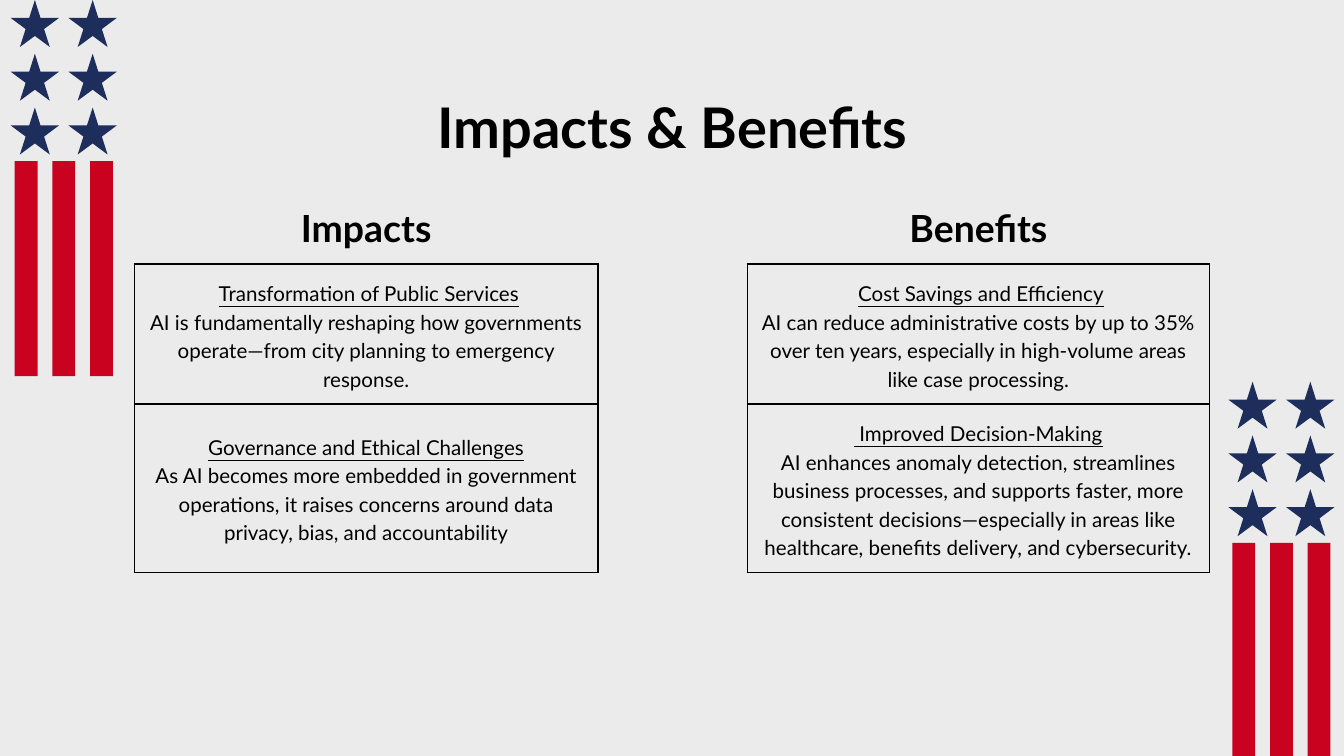
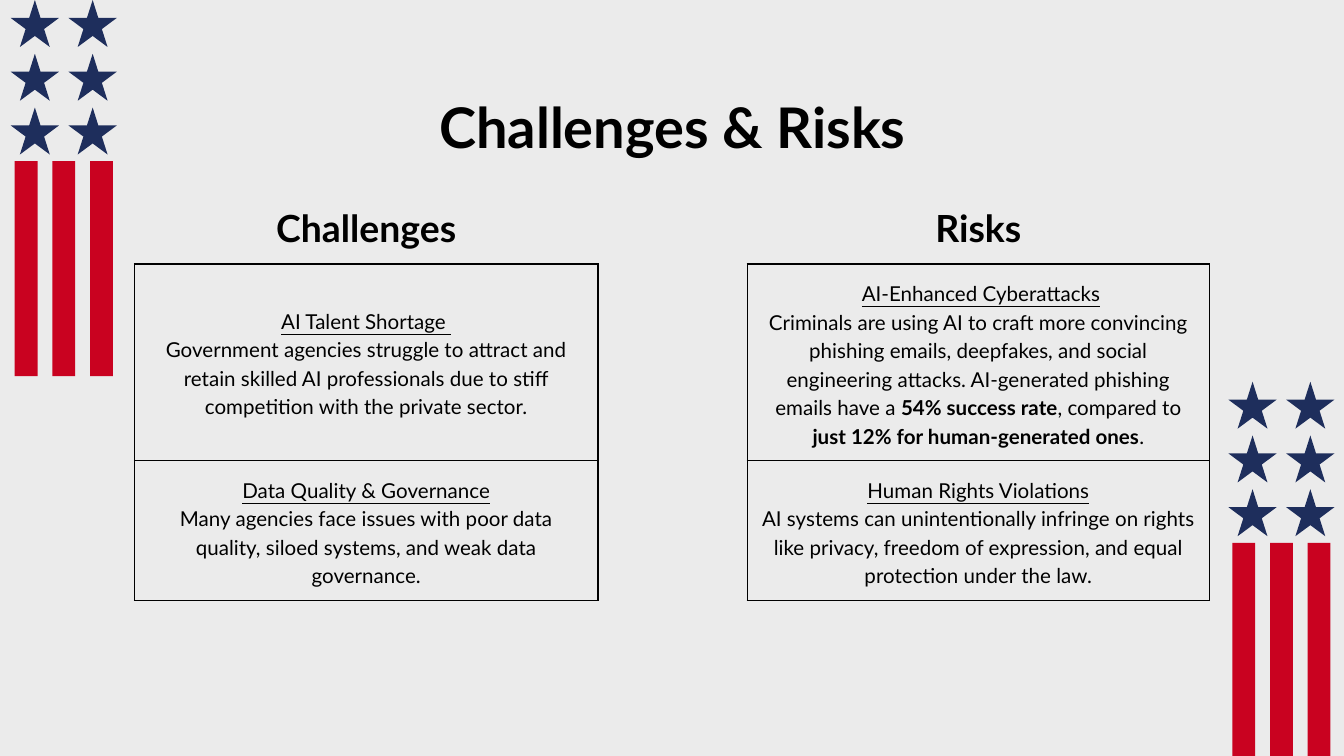
from itertools import product

from lxml.etree import SubElement
from pptx import Presentation
from pptx.dml.color import RGBColor
from pptx.enum.shapes import MSO_SHAPE as Preset
from pptx.enum.text import MSO_ANCHOR as Anchor, PP_ALIGN as Align
from pptx.oxml import parse_xml
from pptx.oxml.ns import nsdecls, qn
from pptx.util import Inches, Pt

FONT = "Lato"
PAPER, INK, RED, NAVY = "EBEBEB", "000000", "C90220", "1E2E5C"
INSET = Inches(0.1)
COLUMN_WIDTHS = (3.45, 1.11, 3.44)
ROW_HEIGHTS = (0.57, 0.76, 0.76)
EMBLEM_CORNERS = ((0.08, 0), (9.14, 2.84))
PLAIN, BOLD, UNDERLINED = "plain", "bold", "underlined"

# Each topic holds the pieces of its heading and those of its details.
SLIDES = [
    {
        "title": "Impacts & Benefits",
        "table_height": 2.87,
        "columns": {
            "Impacts": [
                ([(" ", PLAIN), ("Transformation of Public Services", UNDERLINED)],
                 [("AI is fundamentally reshaping how governments operate—from "
                   "city planning to emergency response.", PLAIN)]),
                ([("Governance and Ethical Challenges", UNDERLINED)],
                 [("As AI becomes more embedded in government operations, it raises "
                   "concerns around data privacy, bias, and accountability", PLAIN)]),
            ],
            "Benefits": [
                ([(" ", PLAIN), ("Cost Savings and Efficiency", UNDERLINED)],
                 [("AI can reduce administrative costs by up to 35% over ten years, "
                   "especially in high-volume areas like case processing.", PLAIN)]),
                ([(" Improved Decision-Making", UNDERLINED)],
                 [("AI enhances anomaly detection, streamlines business processes, and "
                   "supports faster, more consistent decisions—especially in areas "
                   "like healthcare, benefits delivery, and cybersecurity.", PLAIN)]),
            ],
        },
    },
    {
        "title": "Challenges & Risks",
        "table_height": 3.08,
        "columns": {
            "Challenges": [
                ([("AI Talent Shortage ", UNDERLINED)],
                 [("Government agencies struggle to attract and retain skilled AI "
                   "professionals due to stiff competition with the private sector.",
                   PLAIN)]),
                ([("Data Quality & Governance", UNDERLINED)],
                 [("Many agencies face issues with poor data quality, siloed systems, "
                   "and weak data governance.", PLAIN)]),
            ],
            "Risks": [
                ([(" ", PLAIN), ("AI-Enhanced Cyberattacks", UNDERLINED)],
                 [("Criminals are using AI to craft more convincing phishing emails, "
                   "deepfakes, and social engineering attacks. AI-generated phishing "
                   "emails have a ", PLAIN),
                  ("54% success rate", BOLD),
                  (", compared to ", PLAIN),
                  ("just 12% for human-generated ones", BOLD),
                  (".", PLAIN)]),
                ([("Human Rights Violations", UNDERLINED)],
                 [("AI systems can unintentionally infringe on rights like privacy, "
                   "freedom of expression, and equal protection under the law.",
                   PLAIN)]),
            ],
        },
    },
]


def paint(fill, color):
    fill.solid()
    fill.fore_color.rgb = RGBColor.from_string(color)


def write_centered(paragraph, pieces, size, line_spacing=None):
    paragraph.alignment = Align.CENTER
    paragraph.line_spacing = line_spacing
    for text, style in pieces:
        run = paragraph.add_run()
        run.text = text
        font = run.font
        font.name, font.size = FONT, Pt(size)
        font.bold, font.underline = style == BOLD, style == UNDERLINED
        font.color.rgb = RGBColor.from_string(INK)


def add_emblem(slide, left, top):
    """Two columns of stars above three stripes."""
    emblem = slide.shapes.add_group_shape().shapes

    def add_part(preset, x, y, width, height, color):
        part = emblem.add_shape(preset, Inches(left + x), Inches(top + y),
                                Inches(width), Inches(height))
        part.shadow.inherit = False
        paint(part.fill, color)
        part.line.fill.background()

    for stripe in range(3):
        add_part(Preset.RECTANGLE, 0.03 + stripe * 0.28, 1.2, 0.17, 1.6, RED)
    for row, column in product(range(3), range(2)):
        add_part(Preset.STAR_5_POINT, column * 0.43, row * 0.4, 0.36, 0.35, NAVY)


def add_title(slide, text, left, top, width, height):
    title = slide.shapes.add_textbox(Inches(left), Inches(top),
                                     Inches(width), Inches(height))
    frame = title.text_frame
    frame.word_wrap = True
    frame.vertical_anchor = Anchor.TOP
    frame.margin_left = frame.margin_right = INSET
    frame.margin_top = frame.margin_bottom = INSET
    write_centered(frame.paragraphs[0], [(text, BOLD)], 30)


def set_borders(cell, sides):
    """Draw the sides named in a string of L, R, T and B and clear the others."""
    properties = cell._tc.get_or_add_tcPr()
    for place, side in enumerate("LRTB"):
        line = parse_xml(f'<a:ln{side} {nsdecls("a")} w="{Pt(0.75)}"/>')
        if side in sides:
            fill = SubElement(line, qn("a:solidFill"))
            SubElement(fill, qn("a:srgbClr"), val=INK)
        else:
            SubElement(line, qn("a:noFill"))
        properties.insert(place, line)


def style_cell(cell, sides):
    cell.fill.background()
    cell.vertical_anchor = Anchor.MIDDLE
    cell.margin_left = cell.margin_right = INSET
    cell.margin_top = cell.margin_bottom = INSET
    set_borders(cell, sides)


def fill_topic(cell, heading, details):
    frame = cell.text_frame
    write_centered(frame.paragraphs[0], heading, 11, 1.15)
    write_centered(frame.add_paragraph(), details, 11, 1.15)


def add_comparison(slide, columns, left, top, height):
    """Two headed columns of boxed topics with an open gap between them."""
    holder = slide.shapes.add_table(
        len(ROW_HEIGHTS), len(COLUMN_WIDTHS), Inches(left), Inches(top),
        Inches(sum(COLUMN_WIDTHS)), Inches(height))
    table = holder.table
    table.first_row = table.horz_banding = False
    for column, width in zip(table.columns, COLUMN_WIDTHS):
        column.width = Inches(width)
    for row, row_height in zip(table.rows, ROW_HEIGHTS):
        row.height = Inches(row_height)
    holder.height = Inches(height)

    for row, column in product(range(len(ROW_HEIGHTS)), range(len(COLUMN_WIDTHS))):
        is_gap = column == 1
        if row == 0:
            sides = "" if is_gap else "B"
        else:
            sides = "LR" if is_gap else "LRTB"
        style_cell(table.cell(row, column), sides)

    for column, (header, topics) in zip((0, 2), columns.items()):
        header_line = table.cell(0, column).text_frame.paragraphs[0]
        write_centered(header_line, [(header, BOLD)], 20, 1.15)
        for row, (heading, details) in enumerate(topics, start=1):
            fill_topic(table.cell(row, column), heading, details)


def add_comparison_slide(deck, content):
    slide = deck.slides.add_slide(deck.slide_layouts[6])
    for left, top in EMBLEM_CORNERS:
        add_emblem(slide, left, top)
    add_title(slide, content["title"], 0.79, 0.59, 8.43, 0.63)
    add_comparison(slide, content["columns"], 1, 1.38, content["table_height"])


def main():
    deck = Presentation()
    deck.slide_width = Inches(10)
    deck.slide_height = deck.slide_width * 9 // 16
    paint(deck.slide_master.background.fill, PAPER)
    for content in SLIDES:
        add_comparison_slide(deck, content)
    deck.save("out.pptx")


if __name__ == "__main__":
    main()
